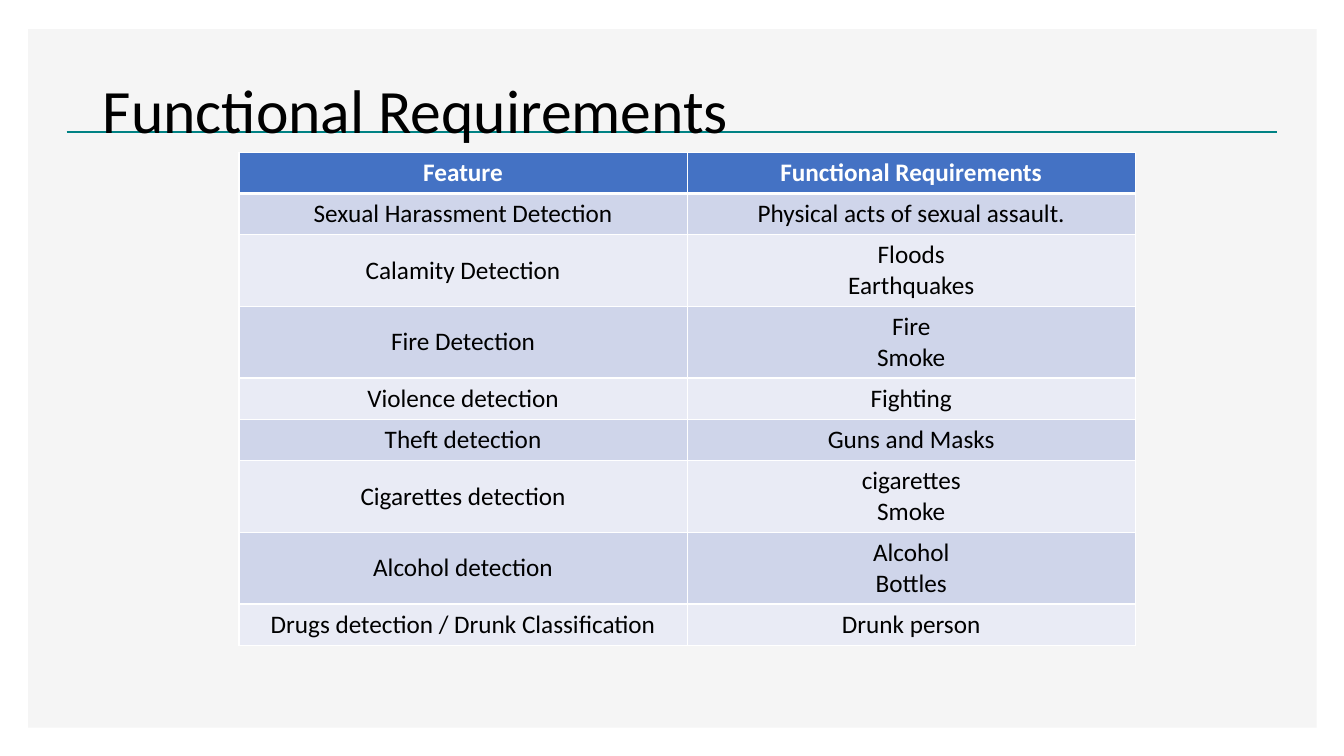
from lxml.etree import SubElement
from pptx import Presentation
from pptx.dml.color import RGBColor
from pptx.enum.shapes import MSO_CONNECTOR, MSO_SHAPE
from pptx.enum.text import MSO_ANCHOR, PP_ALIGN
from pptx.oxml.ns import qn
from pptx.util import Inches, Pt

COLORS = {
    "panel": "F5F5F5", "rule": "008284", "text": "000000", "white": "FFFFFF",
    "header": "4472C4", "odd row": "CFD5EA", "even row": "E9EBF5",
}
FONT = "Calibri"
REQUIREMENTS = [
    ("Feature", "Functional Requirements"),
    ("Sexual Harassment Detection", "Physical acts of sexual assault."),
    ("Calamity Detection", "Floods\nEarthquakes"),
    ("Fire Detection", "Fire\nSmoke"),
    ("Violence detection", "Fighting"),
    ("Theft detection", "Guns and Masks"),
    ("Cigarettes detection", "cigarettes\nSmoke"),
    ("Alcohol detection", "Alcohol\nBottles"),
    ("Drugs detection / Drunk Classification", "Drunk person"),
]


def color(name):
    return RGBColor.from_string(COLORS[name])


def write_text(frame, text, size=18, ink="text", bold=False,
               align=PP_ALIGN.CENTER, line_spacing=None):
    frame.text = text
    for para in frame.paragraphs:
        para.alignment = align
        para.line_spacing = line_spacing
        for span in para.runs:
            span.font.name = FONT
            span.font.size = Pt(size)
            span.font.bold = bold
            span.font.color.rgb = color(ink)


def add_backdrop(page, left, top, width, height):
    """Draw the grey panel and the teal rule across it."""
    panel = page.shapes.add_shape(MSO_SHAPE.RECTANGLE, Inches(left), Inches(top),
                                  Inches(width), Inches(height))
    panel.shadow.inherit = False
    panel.fill.solid()
    panel.fill.fore_color.rgb = color("panel")
    panel.line.fill.background()

    rule_y = Inches(top + 1.02)
    rule = page.shapes.add_connector(MSO_CONNECTOR.STRAIGHT, Inches(left + 0.38), rule_y,
                                     Inches(left + width - 0.39), rule_y)
    rule.line.color.rgb = color("rule")
    rule.line.width = Pt(2)
    SubElement(rule.element.spPr, qn("a:effectLst"))


def place_title(page, text, left, top, width, height):
    title = page.shapes.title
    title.left, title.top = Inches(left), Inches(top)
    title.width, title.height = Inches(width), Inches(height)
    title.text_frame.word_wrap = True
    title.text_frame.vertical_anchor = MSO_ANCHOR.MIDDLE
    write_text(title.text_frame, text, size=44, align=PP_ALIGN.LEFT, line_spacing=0.9)
    title.element.getparent().append(title.element)  # bring in front of the panel


def add_borders(cell, **widths):
    """Give the cell white borders; widths in points by side, in the order L, R, T, B."""
    properties = cell._tc.get_or_add_tcPr()
    for side, width in widths.items():
        border = SubElement(properties, qn(f"a:ln{side}"), w=str(Pt(width)))
        fill = SubElement(border, qn("a:solidFill"))
        SubElement(fill, qn("a:srgbClr"), val=COLORS["white"])


def add_requirements_table(page, rows, left, top, width):
    heights = [0.71 if "\n" in requirement else 0.41 for _, requirement in rows]
    table = page.shapes.add_table(len(rows), 2, Inches(left), Inches(top),
                                  Inches(width), Inches(sum(heights))).table
    for index, (texts, height) in enumerate(zip(rows, heights)):
        table.rows[index].height = Inches(height)
        header = index == 0
        shade = "header" if header else "odd row" if index % 2 else "even row"
        for cell, text in zip(table.rows[index].cells, texts):
            add_borders(cell, L=1, R=1, T=3 if index == 1 else 1, B=3 if header else 1)
            cell.fill.solid()
            cell.fill.fore_color.rgb = color(shade)
            cell.vertical_anchor = MSO_ANCHOR.MIDDLE
            write_text(cell.text_frame, text, bold=header,
                       ink="white" if header else "text")


def main():
    deck = Presentation()
    deck.slide_width, deck.slide_height = Inches(13.33), Inches(7.5)
    page = deck.slides.add_slide(deck.slide_layouts[5])
    add_backdrop(page, 0.28, 0.29, 12.78, 6.93)
    place_title(page, "Functional Requirements", 0.92, 0.4, 11.5, 1.45)
    add_requirements_table(page, REQUIREMENTS, 2.37, 1.51, 8.89)
    deck.save("out.pptx")


if __name__ == "__main__":
    main()
